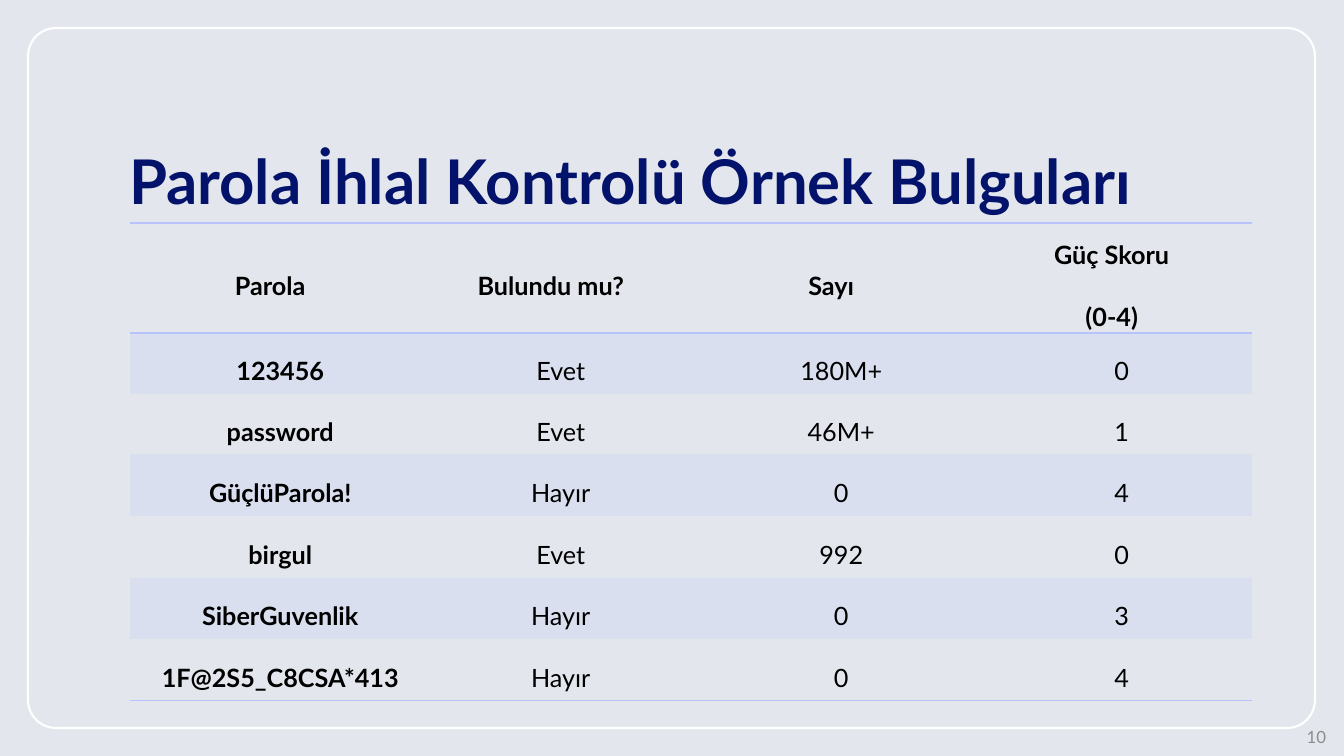
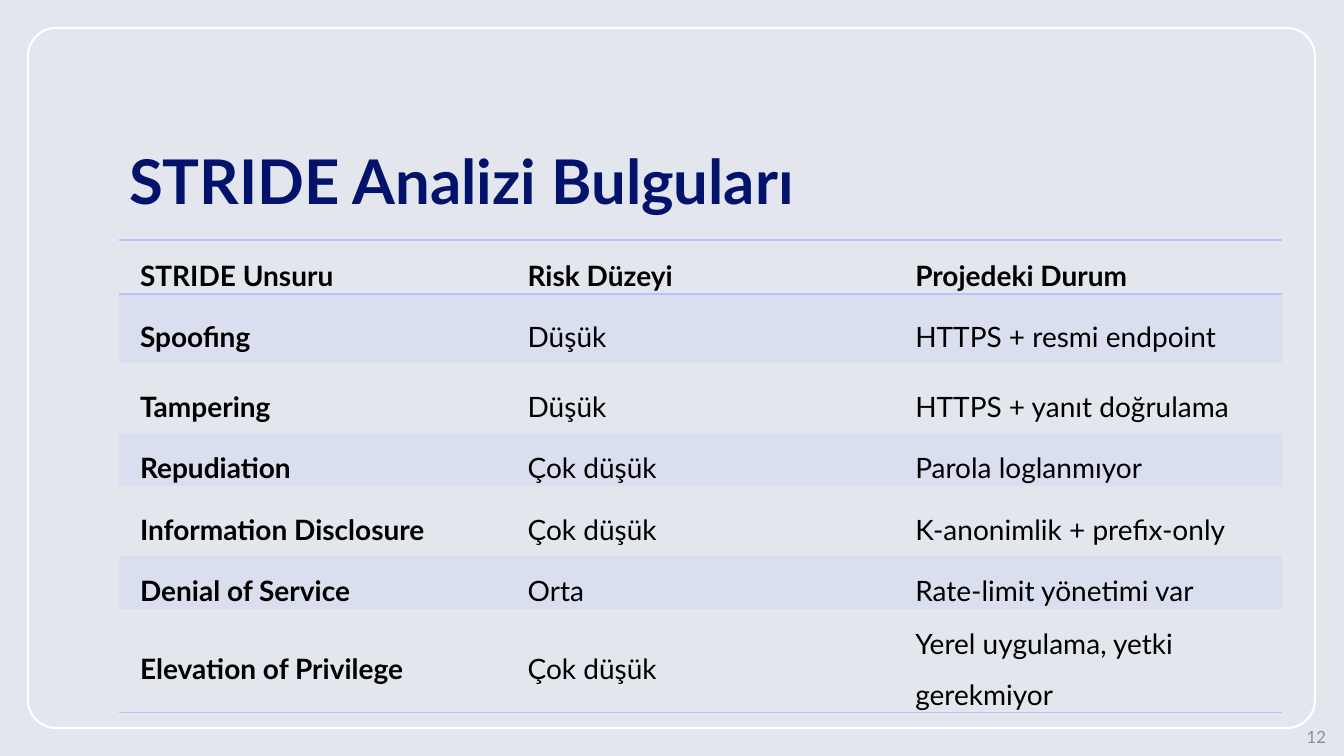
from dataclasses import dataclass
from typing import NamedTuple

from lxml.etree import SubElement
from pptx import Presentation
from pptx.dml.color import RGBColor
from pptx.enum.shapes import MSO_SHAPE
from pptx.enum.text import MSO_ANCHOR, MSO_AUTO_SIZE, PP_ALIGN
from pptx.oxml.ns import qn
from pptx.util import Emu, Pt


@dataclass(frozen=True)
class Theme:
    font: str = "Lato"
    background: str = "E3E7ED"
    frame: str = "FFFFFF"
    title: str = "03126A"
    text: str = "000000"
    accent: str = "B8C2FD"
    number: str = "8C8C8C"
    title_size: int = 44
    number_size: int = 12
    frame_width: float = 1.5
    border_width: int = 1
    band_opacity: int = 20


class Box(NamedTuple):
    left: int
    top: int
    width: int
    height: int


@dataclass(frozen=True)
class TableLook:
    box: Box
    row_heights: tuple
    size: int
    alignment: PP_ALIGN
    header_indent: int


THEME = Theme()
EMU_PER_PX = 914400 / 100.8
SLIDE_SIZE = (1344, 756)
FRAME_BOX = Box(28, 28, 1287, 700)
TITLE_BOX = Box(119, 40, 1133, 183)
NUMBER_BOX = Box(1034, 724, 302, 25)
CELL_INDENT = 20
CELL_MARGIN = 1
PLAIN_TABLE_STYLE = "{2D5ABB26-0587-4C30-8999-92F81FD0307C}"

PASSWORD_LOOK = TableLook(Box(130, 223, 1122, 478), (110, 61, 60, 62, 62, 61, 62),
                          18, PP_ALIGN.CENTER, 0)
PASSWORD_ROWS = [
    ("Parola", "Bulundu mu?", "Sayı", "Güç Skoru\n(0-4)"),
    ("123456", "Evet", "180M+", "0"),
    ("password", "Evet", "46M+", "1"),
    ("GüçlüParola!", "Hayır", "0", "4"),
    ("birgul", "Evet", "992", "0"),
    ("SiberGuvenlik", "Hayır", "0", "3"),
    ("1F@2S5_C8CSA*413", "Hayır", "0", "4"),
]

STRIDE_LOOK = TableLook(Box(119, 240, 1163, 472), (54, 69, 70, 53, 70, 53, 103),
                        20, PP_ALIGN.LEFT, CELL_INDENT)
STRIDE_ROWS = [
    ("STRIDE Unsuru", "Risk Düzeyi", "Projedeki Durum"),
    ("Spoofing", "Düşük", "HTTPS + resmi endpoint"),
    ("Tampering", "Düşük", "HTTPS + yanıt doğrulama"),
    ("Repudiation", "Çok düşük", "Parola loglanmıyor"),
    ("Information Disclosure", "Çok düşük", "K-anonimlik + prefix-only"),
    ("Denial of Service", "Orta", "Rate-limit yönetimi var"),
    ("Elevation of Privilege", "Çok düşük", "Yerel uygulama, yetki gerekmiyor"),
]


def px(length):
    return Emu(round(length * EMU_PER_PX))


def emu_box(box):
    return [px(length) for length in box]


def style_runs(paragraph, size, color, bold=False):
    for run in paragraph.runs:
        run.font.name = THEME.font
        run.font.size = Pt(size)
        run.font.bold = bold
        run.font.color.rgb = RGBColor.from_string(color)


# Shared parts
def prepare_layout(presentation):
    """Give the title-only layout its background."""
    layout = presentation.slide_layouts.get_by_name("Title Only")
    fill = layout.background.fill
    fill.solid()
    fill.fore_color.rgb = RGBColor.from_string(THEME.background)
    return layout


def add_frame(slide, box):
    frame = slide.shapes.add_shape(MSO_SHAPE.ROUNDED_RECTANGLE, *emu_box(box))
    frame.adjustments[0] = 0.04
    frame.shadow.inherit = False
    frame.fill.background()
    frame.line.color.rgb = RGBColor.from_string(THEME.frame)
    frame.line.width = Pt(THEME.frame_width)


def place_title(slide, box, text):
    title = slide.shapes.title
    title.left, title.top, title.width, title.height = emu_box(box)
    text_frame = title.text_frame
    text_frame.text = text
    text_frame.auto_size = MSO_AUTO_SIZE.NONE
    text_frame.vertical_anchor = MSO_ANCHOR.BOTTOM
    paragraph = text_frame.paragraphs[0]
    paragraph.alignment = PP_ALIGN.LEFT
    paragraph.line_spacing = 0.9
    style_runs(paragraph, THEME.title_size, THEME.title, bold=True)


def add_slide_number(slide, box, number):
    text_frame = slide.shapes.add_textbox(*emu_box(box)).text_frame
    text_frame.word_wrap = True
    text_frame.vertical_anchor = MSO_ANCHOR.MIDDLE
    text_frame.text = str(number)
    paragraph = text_frame.paragraphs[0]
    paragraph.alignment = PP_ALIGN.RIGHT
    style_runs(paragraph, THEME.number_size, THEME.number)


# Table
def add_border(cell, side):
    properties = cell._tc.get_or_add_tcPr()
    line = SubElement(properties, qn(f"a:{side}"), w=str(Pt(THEME.border_width)))
    fill = SubElement(line, qn("a:solidFill"))
    SubElement(fill, qn("a:srgbClr"), val=THEME.accent)


def fill_cell(cell, banded):
    if not banded:
        cell.fill.background()
        return
    cell.fill.solid()
    cell.fill.fore_color.rgb = RGBColor.from_string(THEME.accent)
    color = cell._tc.tcPr.find(f"{qn('a:solidFill')}/{qn('a:srgbClr')}")
    SubElement(color, qn("a:alpha"), val=str(THEME.band_opacity * 1000))


def write_cell(cell, text, look, bold, indent):
    cell.margin_left = cell.margin_right = px(CELL_MARGIN)
    cell.margin_top = cell.margin_bottom = px(CELL_MARGIN)
    cell.vertical_anchor = MSO_ANCHOR.MIDDLE
    cell.text_frame.text = text
    for index, paragraph in enumerate(cell.text_frame.paragraphs):
        paragraph.alignment = look.alignment
        paragraph.line_spacing = 1.5
        paragraph.space_before = Pt(6 if index else 0)
        paragraph.space_after = Pt(6)
        paragraph._p.get_or_add_pPr().set("marL", str(px(indent)))
        style_runs(paragraph, look.size, THEME.text, bold)


def add_findings_table(slide, look, rows):
    column_count = len(rows[0])
    table = slide.shapes.add_table(len(rows), column_count, *emu_box(look.box)).table
    table._tbl.tblPr.find(qn("a:tableStyleId")).text = PLAIN_TABLE_STYLE
    table.horz_banding = False
    for column in table.columns:
        column.width = px(look.box.width / column_count)
    for row_index, values in enumerate(rows):
        table.rows[row_index].height = px(look.row_heights[row_index])
        is_header = row_index == 0
        is_last = row_index == len(rows) - 1
        indent = look.header_indent if is_header else CELL_INDENT
        for column_index, value in enumerate(values):
            cell = table.cell(row_index, column_index)
            write_cell(cell, value, look, is_header or column_index == 0, indent)
            if is_header:
                add_border(cell, "lnT")
            if is_header or is_last:
                add_border(cell, "lnB")
            fill_cell(cell, banded=row_index % 2 == 1)


# Slides
def add_findings_slide(presentation, layout, number, title, look, rows):
    slide = presentation.slides.add_slide(layout)
    add_frame(slide, FRAME_BOX)
    place_title(slide, TITLE_BOX, title)
    add_findings_table(slide, look, rows)
    add_slide_number(slide, NUMBER_BOX, number)


def main():
    presentation = Presentation()
    presentation.slide_width, presentation.slide_height = map(px, SLIDE_SIZE)
    layout = prepare_layout(presentation)
    add_findings_slide(presentation, layout, 10, "Parola İhlal Kontrolü Örnek Bulguları",
                       PASSWORD_LOOK, PASSWORD_ROWS)
    add_findings_slide(presentation, layout, 12, "STRIDE Analizi Bulguları",
                       STRIDE_LOOK, STRIDE_ROWS)
    presentation.save("out.pptx")


if __name__ == "__main__":
    main()
